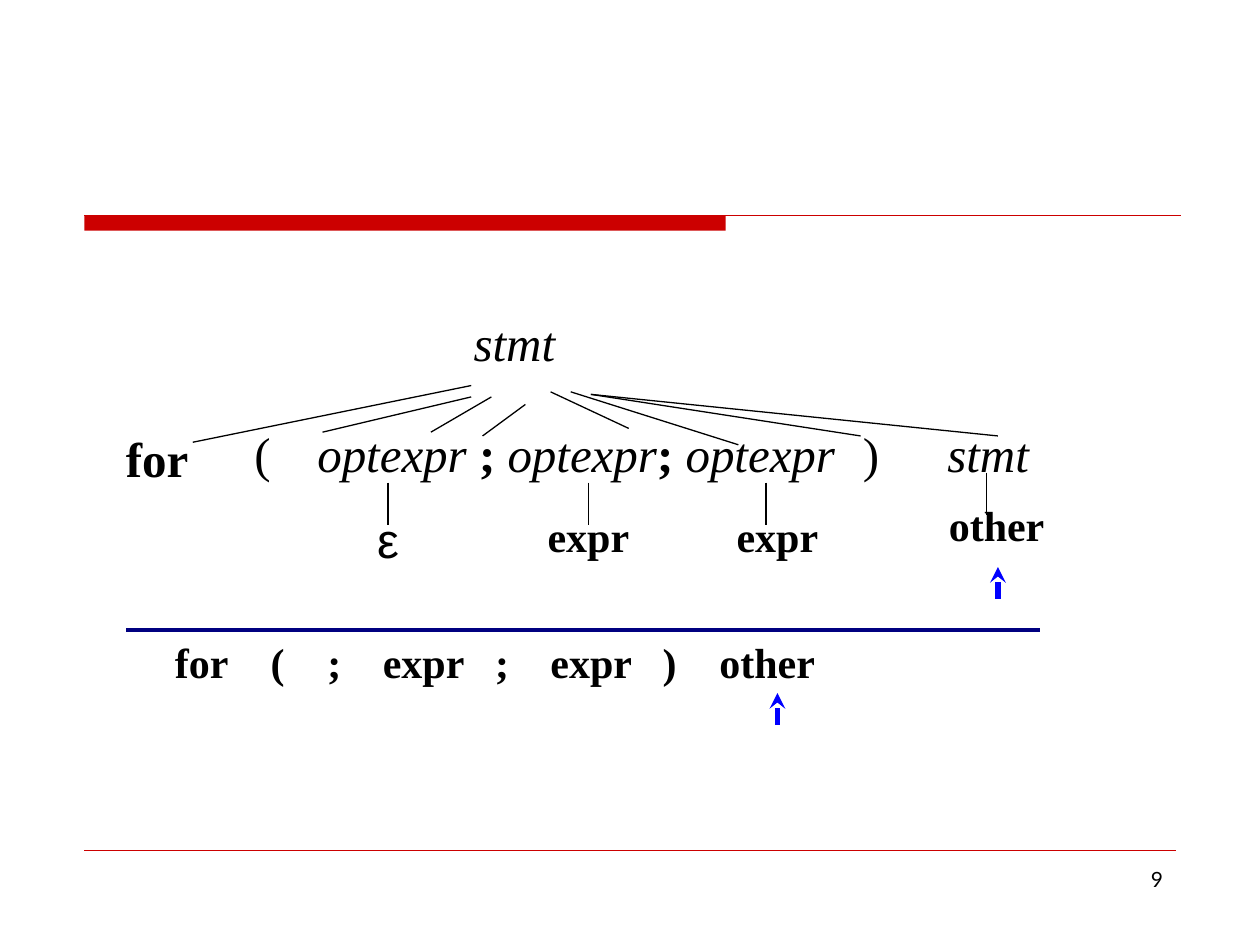
import pptx
import pptx.util
import pptx.dml.color
import pptx.enum.shapes
import pptx.enum.text
import pptx.oxml.xmlchemy
from pptx.util import Inches

SERIF = "Times New Roman"
ALIGN = pptx.enum.text.PP_ALIGN
ANCHOR = pptx.enum.text.MSO_ANCHOR


def color(value):
    return pptx.dml.color.RGBColor.from_string(value)


def add_element(parent, tag, **attributes):
    element = pptx.oxml.xmlchemy.OxmlElement(tag)
    for name, value in attributes.items():
        element.set(name, str(value))
    parent.append(element)
    return element


def add_line(s, x1, y1, x2, y2, line_color="000000", width=0.75, arrow=False):
    line = s.shapes.add_connector(
        pptx.enum.shapes.MSO_CONNECTOR.STRAIGHT,
        Inches(x1), Inches(y1), Inches(x2), Inches(y2))
    line.line.color.rgb = color(line_color)
    line.line.width = pptx.util.Pt(width)
    properties = line._element.spPr
    if arrow:
        add_element(properties.get_or_add_ln(), "a:tailEnd", type="stealth")
    add_element(properties, "a:effectLst")


def add_text(s, x, y, w, h, runs, size=28, font=SERIF, align=ALIGN.LEFT,
             anchor=ANCHOR.TOP, wrap=True):
    sp = s.shapes.add_textbox(Inches(x), Inches(y), Inches(w), Inches(h))
    tf = sp.text_frame
    tf.word_wrap = wrap
    tf.vertical_anchor = anchor
    p = tf.paragraphs[0]
    p.alignment = align
    for text, style in runs:
        r = p.add_run()
        r.text = text
        r.font.name = font
        r.font.size = pptx.util.Pt(size)
        r.font.color.rgb = color("000000")
        r.font.bold = style == "bold"
        r.font.italic = style == "italic"
    return p


def add_header(s, left, top, width):
    bar = s.shapes.add_shape(pptx.enum.shapes.MSO_SHAPE.RECTANGLE,
                             Inches(left), Inches(top), Inches(5.09), Inches(0.12))
    bar.shadow.inherit = False
    bar.fill.solid()
    bar.fill.fore_color.rgb = color("CC0000")
    bar.line.fill.background()
    add_line(s, left, top, left + width, top, "CC0000")


def add_footer(s, left, top, width):
    add_line(s, left, top, left + width, top, "CC0000", 0.25)
    add_text(s, left + width - 2.17, top + 0.08, 2.17, 0.52, [("9", "")],
             12, "Lato", ALIGN.RIGHT)


def add_tree(s, left, top):
    nodes = [
        (2.76, 0, 1.25, [("stmt", "italic")]),
        (0, 0.92, 1.25, [("for", "bold")]),
        (1.02, 0.88, 0.63, [("(", "")]),
        (1.52, 0.88, 4.92, [("optexpr ", "italic"), (";", "bold"),
                            (" optexpr", "italic"), ("; ", "bold"),
                            ("optexpr", "italic")]),
        (5.85, 0.88, 1.25, [(")", "")]),
        (6.52, 0.88, 1.25, [("stmt", "italic")]),
    ]
    for x, y, w, runs in nodes:
        add_text(s, left + x, top + y, w, 0.57, runs)

    branches = [
        (2.84, 0.63, 0.63, 1.08), (2.84, 0.72, 1.66, 1.0),
        (3.0, 0.72, 2.52, 1.0), (3.27, 0.78, 2.93, 1.03),
        (3.47, 0.68, 4.09, 0.97), (3.63, 0.68, 4.96, 1.1),
        (3.79, 0.7, 5.93, 1.03), (3.79, 0.7, 7.02, 1.03),
    ]
    for x1, y1, x2, y2 in branches:
        add_line(s, left + x1, top + y1, left + x2, top + y2)

    leaves = [
        (2.18, 1.4, 2.18, 1.56, 0.37, 0.57, "ε", "", 28, "Arial"),
        (3.77, 1.4, 3.77, 1.57, 0.85, 0.5, "expr", "bold", 24, SERIF),
        (5.18, 1.4, 5.27, 1.57, 0.85, 0.5, "expr", "bold", 24, SERIF),
        (6.93, 1.32, 7.01, 1.48, 0.96, 0.5, "other", "bold", 24, SERIF),
    ]
    for stem_x, stem_y, center, y, w, h, text, style, size, font in leaves:
        add_line(s, left + stem_x, top + stem_y, left + stem_x, top + stem_y + 0.34)
        add_text(s, left + center - w / 2, top + y, w, h, [(text, style)],
                 size, font, ALIGN.CENTER, ANCHOR.BOTTOM, False)
    add_line(s, left + 7.02, top + 2.32, left + 7.02, top + 2.07, "0000FF", 3, True)


def add_input(s, left, top, width):
    add_line(s, left, top, left + width, top, "000080", 2)
    tokens = ["for", "(", ";", "expr", ";", "expr", ")", "other"]
    p = add_text(s, left + 0.29, top, 5.29, 0.5, [("\t".join(tokens), "bold")],
                 24, anchor=ANCHOR.BOTTOM)
    tabs = add_element(p._p.get_or_add_pPr(), "a:tabLst")
    for stop in (0.76, 1.21, 1.65, 2.54, 2.98, 3.87, 4.32):
        add_element(tabs, "a:tab", pos=Inches(stop), algn="l")
    add_line(s, left + 5.17, top + 0.75, left + 5.17, top + 0.5, "0000FF", 3, True)


def main():
    prs = pptx.Presentation()
    prs.slide_width = Inches(10)
    prs.slide_height = Inches(7.5)
    s = prs.slides.add_slide(prs.slide_layouts[6])
    add_header(s, 0.67, 1.71, 8.7)
    add_footer(s, 0.67, 6.75, 8.66)
    add_tree(s, 0.9, 2.43)
    add_input(s, 1, 5, 7.25)
    prs.save("out.pptx")


if __name__ == "__main__":
    main()
